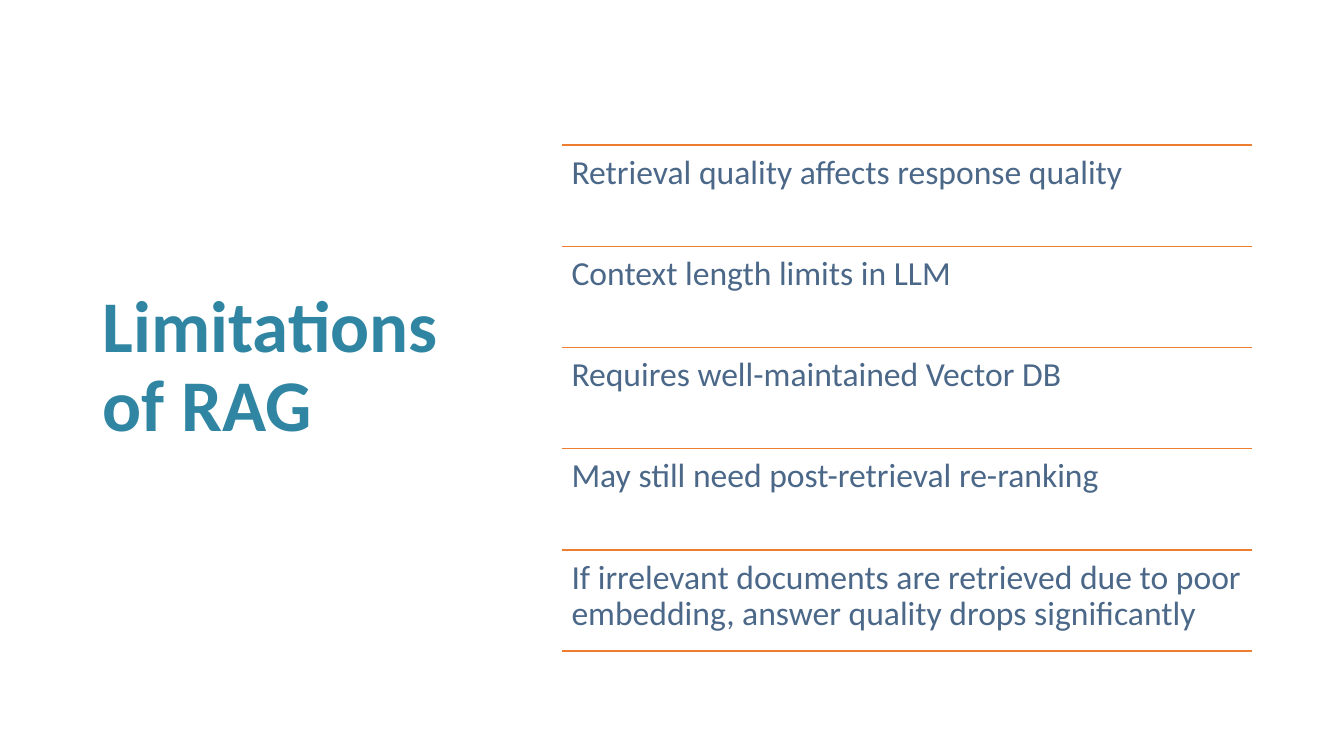
import pptx
import pptx.dml.color
import pptx.enum.shapes
import pptx.enum.text
import pptx.oxml
import pptx.oxml.ns
import pptx.util

Inches = pptx.util.Inches
RGBColor = pptx.dml.color.RGBColor

TEAL = RGBColor(0x2F, 0x85, 0xA2)
SLATE = RGBColor(0x4B, 0x68, 0x89)
ORANGE = RGBColor(0xED, 0x7D, 0x31)

TITLE_FONT = {"name": "Calibri", "size": pptx.util.Pt(52), "bold": True}
ITEM_FONT = {"name": "Calibri", "size": pptx.util.Pt(24), "bold": False}

LIMITATIONS = [
    "Retrieval quality affects response quality",
    "Context length limits in LLM",
    "Requires well-maintained Vector DB",
    "May still need post-retrieval re-ranking",
    "If irrelevant documents are retrieved due to poor embedding, "
    "answer quality drops significantly",
]


def write_text(shape, text, font_format, color, frame_format):
    """Fill a shape with one formatted paragraph."""
    frame = shape.text_frame
    for name, value in frame_format.items():
        setattr(frame, name, value)
    paragraph = frame.paragraphs[0]
    paragraph.text = text
    paragraph.alignment = pptx.enum.text.PP_ALIGN.LEFT
    paragraph.line_spacing = 0.9
    for name, value in font_format.items():
        setattr(paragraph.font, name, value)
    paragraph.font.color.rgb = color


def add_title(slide, left, top, width, height):
    title = slide.shapes.title
    title.left, title.top = Inches(left), Inches(top)
    title.width, title.height = Inches(width), Inches(height)
    write_text(title, "Limitations of RAG", TITLE_FONT, TEAL, {
        "word_wrap": True,
        "auto_size": pptx.enum.text.MSO_AUTO_SIZE.NONE,
        "vertical_anchor": pptx.enum.text.MSO_ANCHOR.MIDDLE,
    })


def add_rule(slide, left, top, width):
    rule = slide.shapes.add_connector(
        pptx.enum.shapes.MSO_CONNECTOR.STRAIGHT,
        Inches(left), Inches(top), Inches(left + width), Inches(top))
    rule.line.color.rgb = ORANGE
    rule.line.width = pptx.util.Pt(1)
    properties = rule._element.spPr
    properties.append(pptx.oxml.parse_xml(
        f'<a:effectLst {pptx.oxml.ns.nsdecls("a")}/>'))


def add_ruled_list(slide, items, left, top, width, height):
    row_height = height / len(items)
    margins = ("margin_left", "margin_top", "margin_right", "margin_bottom")
    frame_format = dict.fromkeys(margins, Inches(0.1))
    frame_format["word_wrap"] = True
    frame_format["vertical_anchor"] = pptx.enum.text.MSO_ANCHOR.TOP

    # A rule above each item
    for index, item in enumerate(items):
        row_top = top + index * row_height
        add_rule(slide, left, row_top, width)
        box = slide.shapes.add_textbox(
            Inches(left), Inches(row_top), Inches(width), Inches(row_height))
        write_text(box, item, ITEM_FONT, SLATE, frame_format)

    # Closing rule
    add_rule(slide, left, top + height, width)


def main():
    presentation = pptx.Presentation()
    presentation.slide_width = Inches(13.33)
    presentation.slide_height = Inches(7.5)
    slide = presentation.slides.add_slide(presentation.slide_layouts[5])
    add_title(slide, 0.92, 0.61, 3.69, 6.09)
    add_ruled_list(slide, LIMITATIONS, 5.57, 1.44, 6.85, 5.02)
    presentation.save("out.pptx")


if __name__ == "__main__":
    main()
